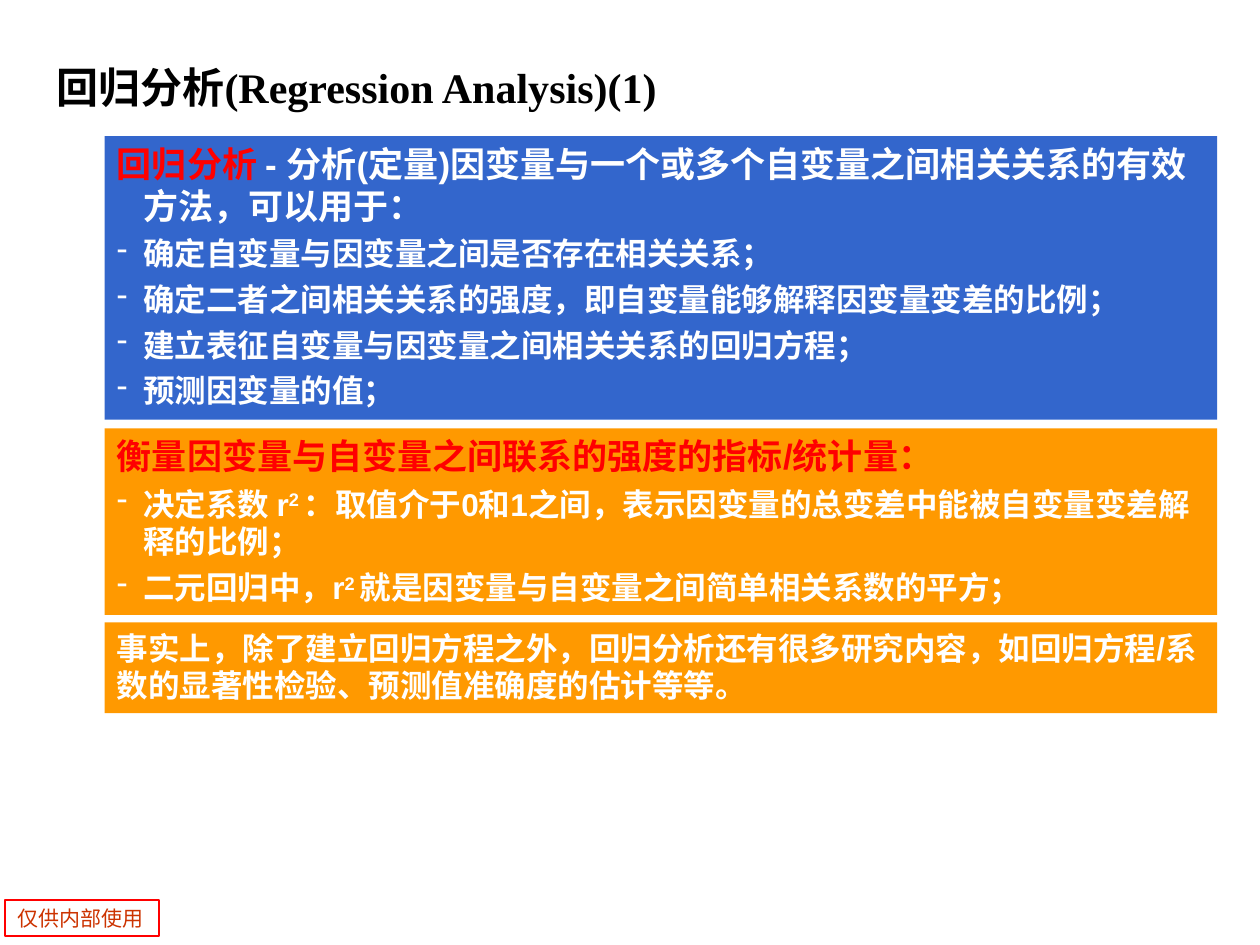
from pptx import Presentation
from pptx.dml.color import RGBColor
from pptx.enum.shapes import MSO_SHAPE
from pptx.enum.text import MSO_ANCHOR, PP_ALIGN
from pptx.oxml.ns import qn
from pptx.util import Inches, Pt
from lxml.etree import SubElement

WHITE = RGBColor(0xFF, 0xFF, 0xFF)
BLACK = RGBColor(0, 0, 0)
RED = RGBColor(0xFF, 0, 0)
RUST = RGBColor(0xCC, 0x33, 0)
BLUE = RGBColor(0x33, 0x66, 0xCC)
ORANGE = RGBColor(0xFF, 0x99, 0)

PANEL_LEFT, PANEL_WIDTH = 0.83, 8.83
HANGING = 0.21


def add_run(paragraph, text, size, color, font="Arial", bold=True, raised=False):
    run = paragraph.add_run()
    run.text = text
    run.font.size = Pt(size)
    run.font.name = font
    run.font.bold = bold
    run.font.color.rgb = color
    if raised:
        run._r.get_or_add_rPr().set("baseline", "30000")


def set_hanging(paragraph, bullet=False, tab=None):
    properties = paragraph._p.get_or_add_pPr()
    properties.set("marL", str(Inches(HANGING)))
    properties.set("indent", str(-Inches(HANGING)))
    if bullet:
        color = SubElement(properties, qn("a:buClr"))
        SubElement(color, qn("a:srgbClr"), val=str(WHITE))
        SubElement(properties, qn("a:buChar"), char="-")
    if tab:
        tabs = SubElement(properties, qn("a:tabLst"))
        SubElement(tabs, qn("a:tab"), pos=str(Inches(tab)), algn="l")


def add_panel(slide, top, height, fill):
    shape = slide.shapes.add_shape(
        MSO_SHAPE.RECTANGLE, Inches(PANEL_LEFT), Inches(top),
        Inches(PANEL_WIDTH), Inches(height))
    shape.shadow.inherit = False
    shape.fill.solid()
    shape.fill.fore_color.rgb = fill
    shape.line.fill.background()
    text_frame = shape.text_frame
    text_frame.word_wrap = True
    text_frame.vertical_anchor = MSO_ANCHOR.TOP
    return text_frame


def start_paragraph(paragraph, space):
    paragraph.alignment = PP_ALIGN.LEFT
    paragraph.space_before = Pt(space)
    return paragraph


def add_list_panel(slide, top, height, fill, heading, items, tab=None):
    text_frame = add_panel(slide, top, height, fill)
    paragraph = start_paragraph(text_frame.paragraphs[0], 5)
    set_hanging(paragraph, tab=tab)
    for text, color in heading:
        add_run(paragraph, text, 20, color)
    for item in items:
        paragraph = start_paragraph(text_frame.add_paragraph(), 4.5)
        set_hanging(paragraph, bullet=True)
        for index, text in enumerate(item):
            add_run(paragraph, text, 18, WHITE, raised=index == 1)


def add_note_panel(slide, top, height, fill, text):
    text_frame = add_panel(slide, top, height, fill)
    paragraph = start_paragraph(text_frame.paragraphs[0], 4.5)
    add_run(paragraph, text, 18, WHITE)


def add_title(slide, left, top, width, height, text):
    box = slide.shapes.add_textbox(
        Inches(left), Inches(top), Inches(width), Inches(height))
    box.text_frame.word_wrap = True
    box.text_frame.vertical_anchor = MSO_ANCHOR.MIDDLE
    add_run(box.text_frame.paragraphs[0], text, 24, BLACK, "Times New Roman")


def add_stamp(slide, left, top, width, height, text):
    box = slide.shapes.add_textbox(
        Inches(left), Inches(top), Inches(width), Inches(height))
    box.line.color.rgb = RED
    box.line.width = Pt(1)
    box.text_frame.word_wrap = False
    add_run(box.text_frame.paragraphs[0], text, 12, RUST, "Noto Sans CJK SC", False)


def main():
    presentation = Presentation()
    presentation.slide_width = Inches(10)
    presentation.slide_height = Inches(7.5)
    slide = presentation.slides.add_slide(presentation.slide_layouts[6])
    add_stamp(slide, 0.04, 7.14, 1.22, 0.29, "仅供内部使用")
    add_title(slide, 0.35, 0.23, 9.45, 0.92, "回归分析(Regression Analysis)(1)")
    add_list_panel(
        slide, 1.08, 2.25, BLUE,
        [("回归分析 ", RED),
         ("- 分析(定量)因变量与一个或多个自变量之间相关关系的有效\t方法，可以用于：", WHITE)],
        [["确定自变量与因变量之间是否存在相关关系；"],
         ["确定二者之间相关关系的强度，即自变量能够解释因变量变差的比例；"],
         ["建立表征自变量与因变量之间相关关系的回归方程；"],
         ["预测因变量的值；"]],
        tab=1.36)
    add_list_panel(
        slide, 3.4, 1.48, ORANGE,
        [("衡量因变量与自变量之间联系的强度的指标/统计量：", RED)],
        [["决定系数 r", "2 ", "：取值介于0和1之间，表示因变量的总变差中能被自变量变差解释的比例；"],
         ["二元回归中，r", "2 ", "就是因变量与自变量之间简单相关系数的平方；"]])
    add_note_panel(
        slide, 4.94, 0.72, ORANGE,
        "事实上，除了建立回归方程之外，回归分析还有很多研究内容，如回归方程/系数的显著性检验、预测值准确度的估计等等。")
    presentation.save("out.pptx")


if __name__ == "__main__":
    main()
